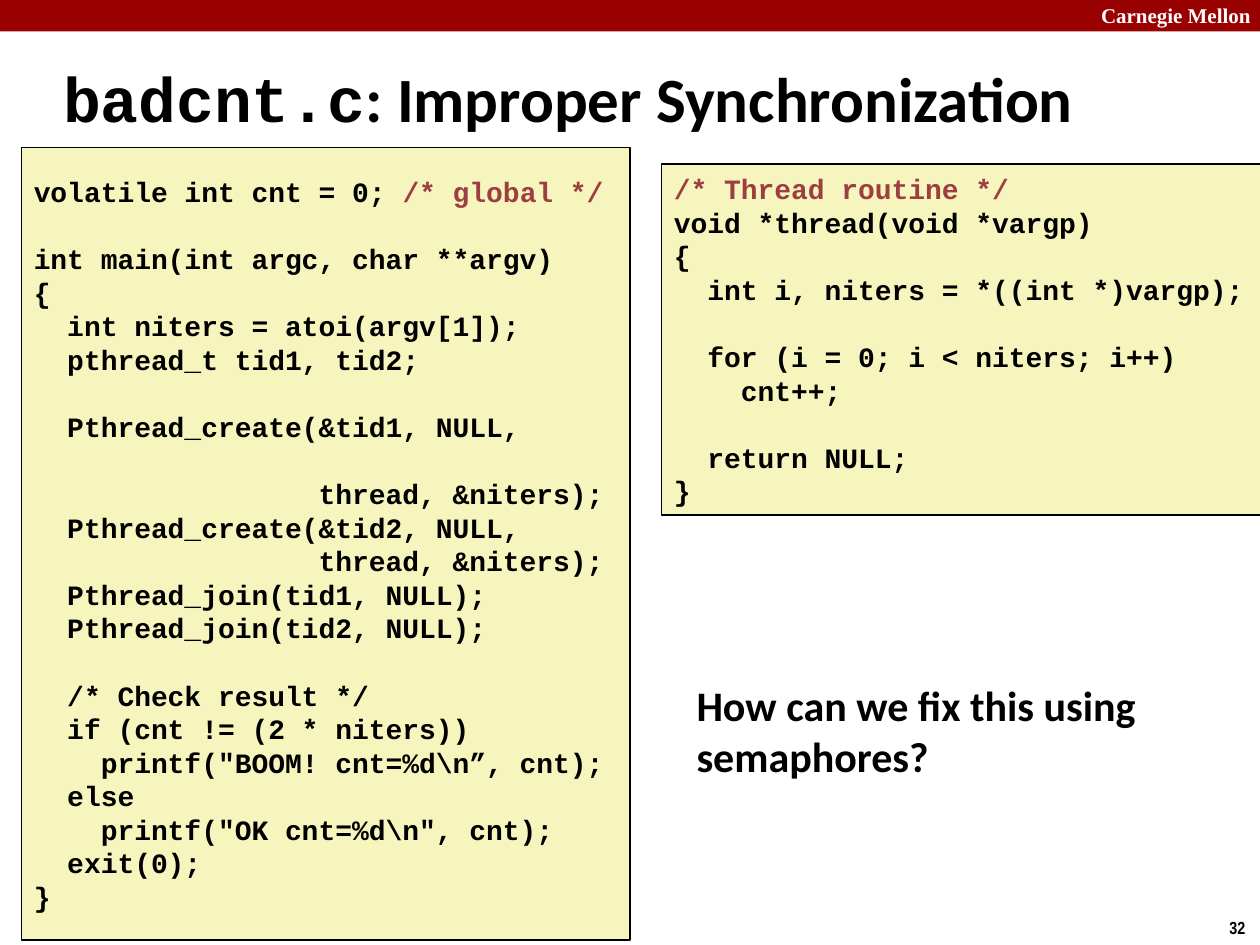
from pptx import Presentation
from pptx import util as u
from pptx.dml.color import RGBColor
from pptx.enum import shapes, text

WIDE, HIGH = 10, 7.5
MONO, SANS = "Courier New", "Calibri"
BLACK, RED, CREAM = "000000", "9D3E40", "F6F5BD"

MAIN = r"""volatile int cnt = 0; ~/* global */~

int main(int argc, char **argv)
{
  int niters = atoi(argv[1]);
  pthread_t tid1, tid2;

  Pthread_create(&tid1, NULL,

                 thread, &niters);
  Pthread_create(&tid2, NULL,
                 thread, &niters);
  Pthread_join(tid1, NULL);
  Pthread_join(tid2, NULL);

  /* Check result */
  if (cnt != (2 * niters))
    printf("BOOM! cnt=%d\n”, cnt);
  else
    printf("OK cnt=%d\n", cnt);
  exit(0);
}"""

THREAD = """~/* Thread routine */~
void *thread(void *vargp)
{
  int i, niters = *((int *)vargp);

  for (i = 0; i < niters; i++)
    cnt++;

  return NULL;
}"""


def paint(hue):
    """Turn a hex string into a colour."""
    return RGBColor.from_string(hue)


def style(font, size, face, hue):
    """Set the bold font used all over the slide."""
    font.size, font.name, font.bold = u.Pt(size), face, True
    font.color.rgb = paint(hue)


def write(frame, words, size=16, face=MONO, hue=BLACK, alt=None,
          anchor=text.MSO_ANCHOR.MIDDLE, wrap=True):
    """Write lines of text; parts between tildes take the alt format."""
    frame.word_wrap, frame.vertical_anchor = wrap, anchor
    frame.auto_size = text.MSO_AUTO_SIZE.NONE
    for row, line in enumerate(words.split("\n")):
        para = frame.add_paragraph() if row else frame.paragraphs[0]
        para.alignment = text.PP_ALIGN.LEFT
        style(para.font, size, face, hue)
        for turn, part in enumerate(line.split("~")):
            if part:
                run = para.add_run()
                run.text = part
                look = dict(size=size, face=face, hue=hue)
                style(run.font, **{**look, **(alt if turn % 2 else {})})


def place(*sides):
    """Turn left, top, width and height in inches into lengths."""
    return [u.Inches(side) for side in sides]


def panel(slide, box, fill, line=None):
    """Draw a filled rectangle, with an outline if a colour is given."""
    shape = slide.shapes.add_shape(shapes.MSO_SHAPE.RECTANGLE, *place(*box))
    shape.shadow.inherit = False
    shape.fill.solid()
    shape.fill.fore_color.rgb = paint(fill)
    if line:
        shape.line.color.rgb = paint(line)
        shape.line.width = u.Pt(1)
    else:
        shape.line.fill.background()
    return shape


def code(slide, box, words, **form):
    """Draw a code listing with red comments."""
    shape = panel(slide, box, CREAM, BLACK)
    write(shape.text_frame, words, alt={"hue": RED}, **form)


def label(slide, box, words, **form):
    """Add a plain text box."""
    write(slide.shapes.add_textbox(*place(*box)).text_frame, words, **form)


def head(slide, box, words):
    """Move and fill the title."""
    title = slide.shapes.title
    title.left, title.top, title.width, title.height = place(*box)
    write(title.text_frame, words, size=36, face=SANS, alt={"face": MONO})


def main():
    """Build the slide."""
    deck = Presentation()
    deck.slide_width, deck.slide_height = place(WIDE, HIGH)
    slide = deck.slides.add_slide(deck.slide_layouts[5])
    top = text.MSO_ANCHOR.TOP
    panel(slide, (0, 0, WIDE, HIGH / 30), "990000")
    label(slide, (8.64, -0.03, 1.43, 0.3), "Carnegie Mellon", size=12,
          face="Times New Roman", hue="FFFFFF", anchor=top)
    label(slide, (9.66, 7.23, 0.34, 0.27), "32", size=10,
          face="Arial Narrow", anchor=top, wrap=False)
    head(slide, (0.4, 0.17, WIDE - 0.4, 1.2), "~badcnt.c~: Improper Synchronization")
    code(slide, (0.17, 1.17, 4.83, 6.29), MAIN)
    code(slide, (5.25, 1.3, 4.78, 2.79), THREAD, wrap=False)
    label(slide, (5.43, 5.34, 4.33, 0.91),
          "How can we fix this using semaphores?", size=24, face=SANS)
    deck.save("out.pptx")


if __name__ == "__main__":
    main()
